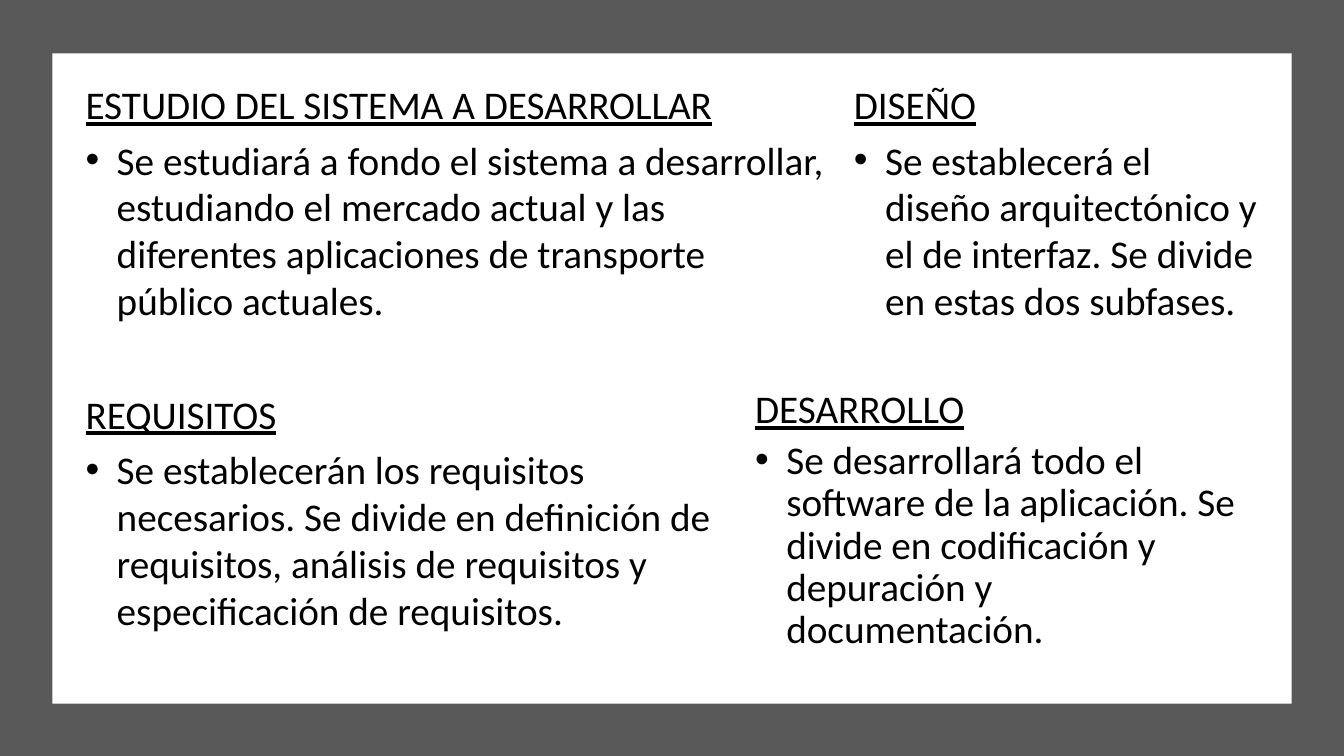
from dataclasses import dataclass

from lxml.etree import SubElement
from pptx import Presentation
from pptx.dml.color import RGBColor as RGB
from pptx.enum.shapes import MSO_SHAPE as Shape
from pptx.enum.text import MSO_ANCHOR as Anchor, MSO_AUTO_SIZE as Fit
from pptx.oxml.ns import qn
from pptx.util import Inches, Pt


@dataclass(frozen=True)
class Theme:
    frame: RGB = RGB(0x59, 0x59, 0x59)
    panel: RGB = RGB(0xFF, 0xFF, 0xFF)
    ink: RGB = RGB(0, 0, 0)
    font: str = "Calibri"
    size: Pt = Pt(28)
    gap: Pt = Pt(6)


THEME = Theme()
WIDE, HIGH = 13.33, 7.5
LEFT, RIGHT = 0.75, 12.58
# Each row: top, height, and its phases as (left, right, line spacing, title, body)
ROWS = [
    (0.75, 2.98, [
        (LEFT, 8.28, None, "ESTUDIO DEL SISTEMA A DESARROLLAR",
         "Se estudiará a fondo el sistema a desarrollar, estudiando el mercado "
         "actual y las diferentes aplicaciones de transporte público actuales."),
        (8.37, RIGHT, None, "DISEÑO",
         "Se establecerá el diseño arquitectónico y el de interfaz. "
         "Se divide en estas dos subfases."),
    ]),
    (3.82, 2.93, [
        (LEFT, 7.31, None, "REQUISITOS",
         "Se establecerán los requisitos necesarios. Se divide en definición de "
         "requisitos, análisis de requisitos y especificación de requisitos."),
        (7.39, RIGHT, 0.9, "DESARROLLO",
         "Se desarrollará todo el software de la aplicación. Se divide en "
         "codificación y depuración y documentación."),
    ]),
]


def assign(item, values):
    for name, value in values.items():
        setattr(item, name, value)


def add_rect(slide, box, color):
    rect = slide.shapes.add_shape(Shape.RECTANGLE, *map(Inches, box))
    rect.shadow.inherit = False
    rect.fill.solid()
    rect.fill.fore_color.rgb = color
    rect.line.fill.background()


def add_bullet(para):
    props = para._p.get_or_add_pPr()
    indent = Inches(0.31)
    props.set("marL", str(indent))
    props.set("indent", str(-indent))
    SubElement(props, qn("a:buFont"), typeface="Arial")
    SubElement(props, qn("a:buChar"), char="•")


def add_text(para, text, title, spacing):
    assign(para, {"space_after": THEME.gap, "line_spacing": spacing})
    run = para.add_run()
    run.text = text
    assign(run.font, {"name": THEME.font, "size": THEME.size,
                      "underline": title})
    run.font.color.rgb = THEME.ink


def add_phase(slide, box, title, body, spacing):
    frame = slide.shapes.add_textbox(*map(Inches, box)).text_frame
    assign(frame, {"word_wrap": True, "vertical_anchor": Anchor.TOP,
                   "auto_size": Fit.TEXT_TO_FIT_SHAPE})
    add_text(frame.paragraphs[0], title, True, spacing)
    para = frame.add_paragraph()
    add_text(para, body, False, spacing)
    add_bullet(para)


def main():
    deck = Presentation()
    assign(deck, {"slide_width": Inches(WIDE), "slide_height": Inches(HIGH)})
    slide = deck.slides.add_slide(deck.slide_layouts[6])
    add_rect(slide, (0, 0, WIDE, HIGH), THEME.frame)
    add_rect(slide, (0.52, 0.53, 12.29, 6.45), THEME.panel)
    for top, height, phases in ROWS:
        for left, right, spacing, title, body in phases:
            box = (left, top, right - left, height)
            add_phase(slide, box, title, body, spacing)
    deck.save("out.pptx")


if __name__ == "__main__":
    main()
